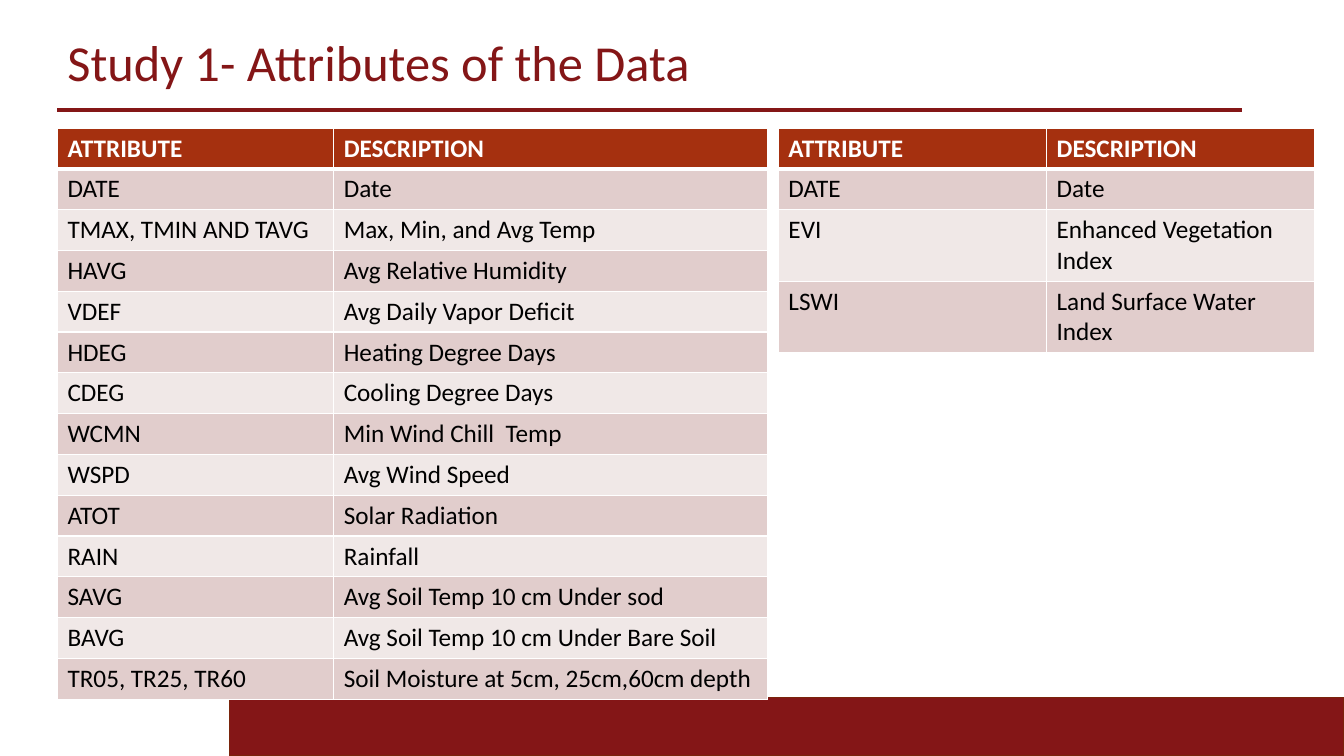
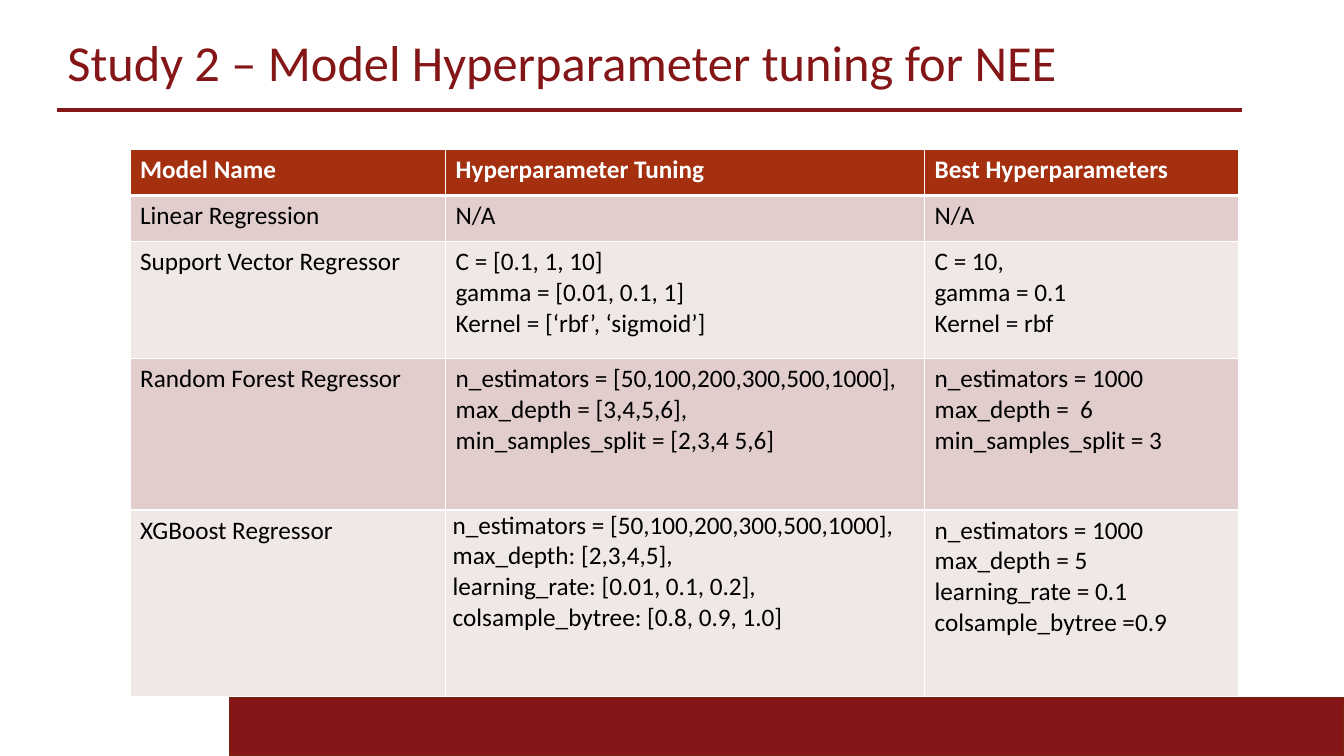
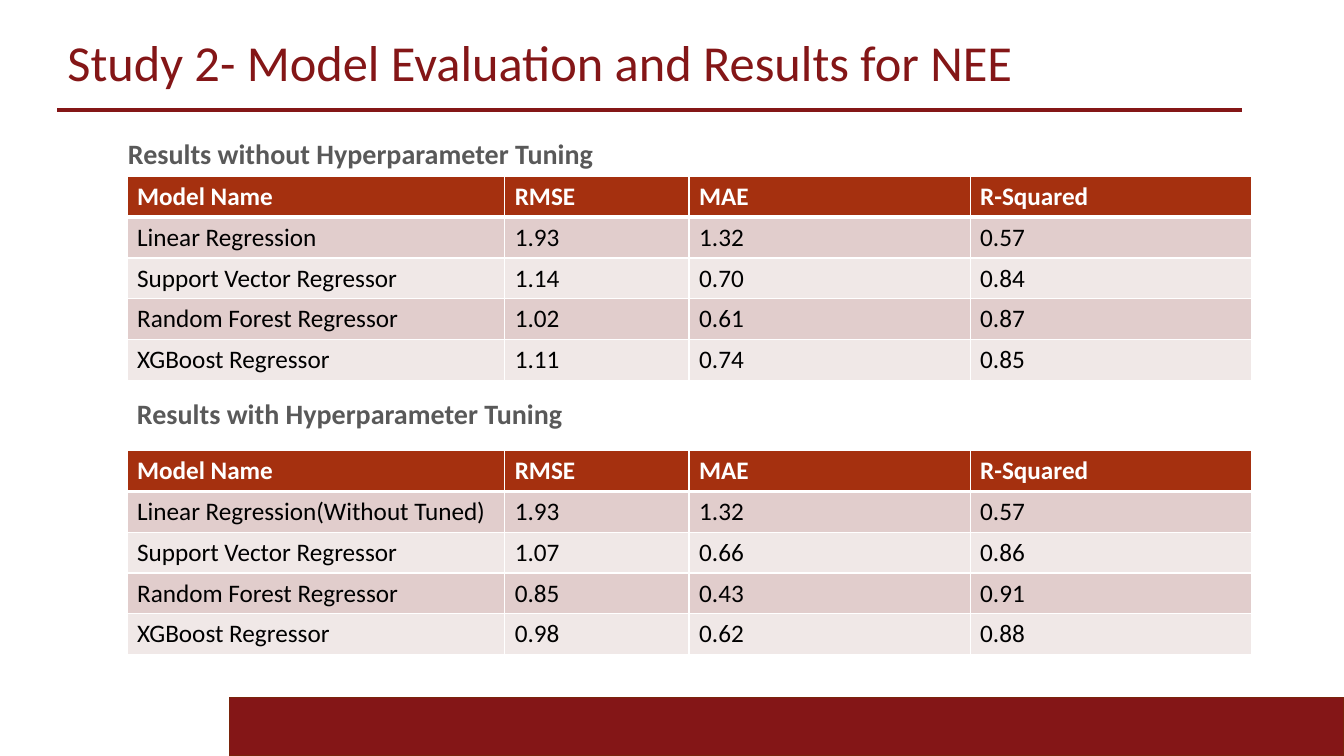
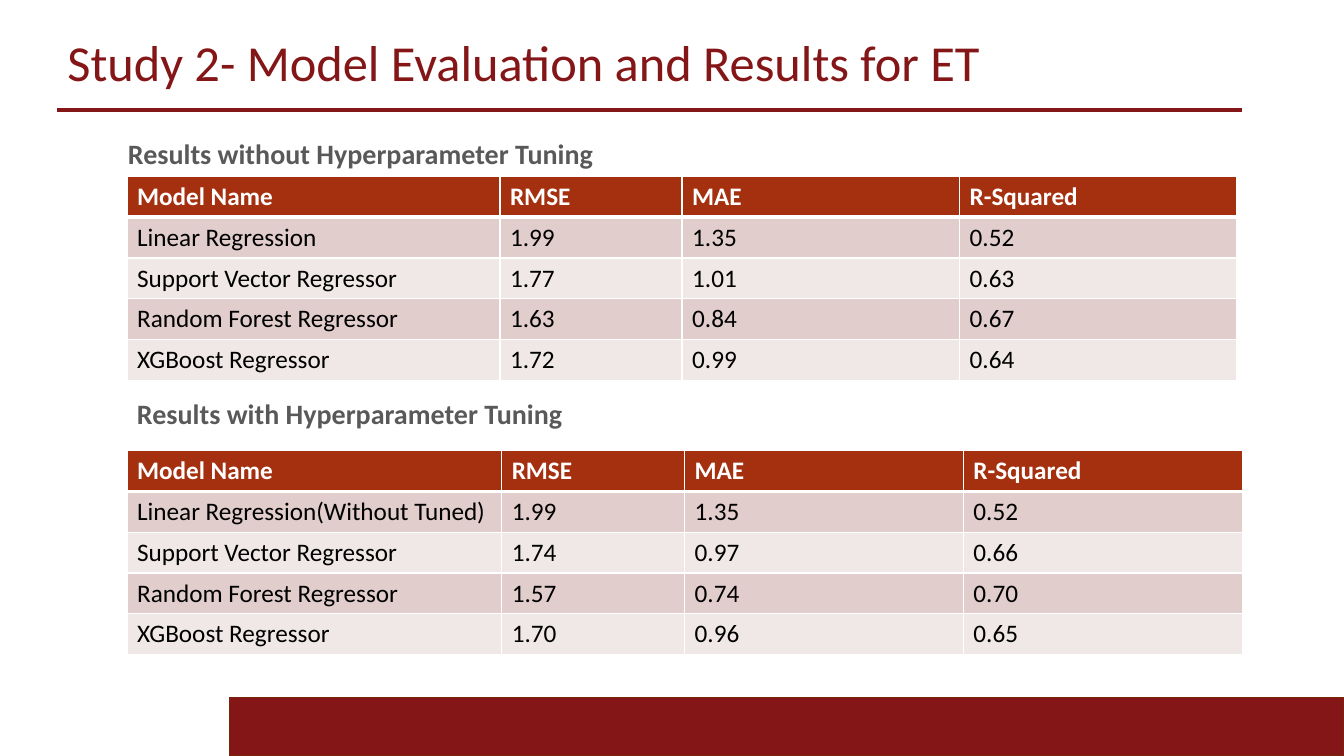
"""Build four slides of study attributes, tuning grids and model results."""
from lxml.etree import SubElement
from pptx import Presentation
from pptx.dml.color import RGBColor
from pptx.enum.shapes import MSO_CONNECTOR as Connector, MSO_SHAPE as Shape
from pptx.enum.text import MSO_ANCHOR as Anchor
from pptx.oxml.ns import qn
from pptx.util import Inches, Pt

WIDTH, HEIGHT = 13.33, 7.5
FONT = "Calibri"
CRIMSON, BAND_EDGE, GREY = "841617", "7A240B", "595959"
HEADER, BANDS = "A5300F", ("F0E8E7", "E1CDCC")
WHITE, BLACK = "FFFFFF", "000000"
LEFT, INDENT = 0.57, 1.26
ROW = 0.405
CELL_INSETS, TIGHT_INSETS = (0.1, 0.05), (0.07, 0)

WEATHER = [
    ("ATTRIBUTE", "DESCRIPTION"),
    ("DATE", "Date"),
    ("TMAX, TMIN AND TAVG", "Max, Min, and Avg Temp"),
    ("HAVG", "Avg Relative Humidity"),
    ("VDEF", "Avg Daily Vapor Deficit"),
    ("HDEG", "Heating Degree Days"),
    ("CDEG", "Cooling Degree Days"),
    ("WCMN", "Min Wind Chill  Temp"),
    ("WSPD", "Avg Wind Speed"),
    ("ATOT", "Solar Radiation"),
    ("RAIN", "Rainfall"),
    ("SAVG", "Avg Soil Temp 10 cm Under sod"),
    ("BAVG", "Avg Soil Temp 10 cm Under Bare Soil"),
    ("TR05, TR25, TR60", "Soil Moisture at 5cm, 25cm,60cm depth"),
]
VEGETATION = [
    ("ATTRIBUTE", "DESCRIPTION"),
    ("DATE", "Date"),
    ("EVI", "Enhanced Vegetation Index"),
    ("LSWI", "Land Surface Water Index"),
]
TUNING = [
    ("Model Name", "Hyperparameter Tuning", "Best Hyperparameters"),
    ("Linear Regression", "N/A", "N/A"),
    ("Support Vector Regressor",
     "C = [0.1, 1, 10]\ngamma = [0.01, 0.1, 1]\nKernel = [‘rbf’, ‘sigmoid’]",
     "C = 10,\ngamma = 0.1\nKernel = rbf"),
    ("Random Forest Regressor",
     "n_estimators = [50,100,200,300,500,1000],\nmax_depth = [3,4,5,6],\n"
     "min_samples_split = [2,3,4 5,6]",
     "n_estimators = 1000\nmax_depth =  6\nmin_samples_split = 3"),
    ("XGBoost Regressor",
     "n_estimators = [50,100,200,300,500,1000],\nmax_depth: [2,3,4,5],\n"
     "learning_rate: [0.01, 0.1, 0.2],\ncolsample_bytree: [0.8, 0.9, 1.0]",
     "n_estimators = 1000\nmax_depth = 5\nlearning_rate = 0.1\n"
     "colsample_bytree =0.9"),
]
TUNING_ROWS = [0.46, 0.46, 1.16, 1.5, 1.85]

METRICS = ("Model Name", "RMSE", "MAE", "R-Squared")
METRIC_SHARES = (0.336, 0.164, 0.25, 0.25)
MODELS = ("Linear Regression", "Support Vector Regressor",
          "Random Forest Regressor", "XGBoost Regressor")
TUNED_MODELS = ("Linear Regression(Without Tuned)",) + MODELS[1:]
SECTIONS = [
    ("Results without Hyperparameter Tuning", MODELS, 1.17, 1.34, 1.75),
    ("Results with Hyperparameter Tuning", TUNED_MODELS, INDENT, 3.92, 4.47),
]
RESULTS = [
    ("Study 2- Model Evaluation and Results for NEE", [
        (11.15, ["1.93 1.32 0.57", "1.14 0.70 0.84",
                 "1.02 0.61 0.87", "1.11 0.74 0.85"]),
        (11.15, ["1.93 1.32 0.57", "1.07 0.66 0.86",
                 "0.85 0.43 0.91", "0.98 0.62 0.88"]),
    ]),
    ("Study 2- Model Evaluation and Results for ET", [
        (11.01, ["1.99 1.35 0.52", "1.77 1.01 0.63",
                 "1.63 0.84 0.67", "1.72 0.99 0.64"]),
        (11.06, ["1.99 1.35 0.52", "1.74 0.97 0.66",
                 "1.57 0.74 0.70", "1.70 0.96 0.65"]),
    ]),
]


def color(value):
    return RGBColor.from_string(value)


def write(frame, text, size=18, ink=BLACK, bold=False, spacing=None):
    frame.word_wrap = True
    for index, line in enumerate(text.split("\n")):
        para = frame.add_paragraph() if index else frame.paragraphs[0]
        para.line_spacing = spacing
        span = para.add_run()
        span.text = line
        span.font.name, span.font.size, span.font.bold = FONT, Pt(size), bold
        span.font.color.rgb = color(ink)


def add_text(page, text, left, top, width, height, **style):
    box = page.shapes.add_textbox(*map(Inches, (left, top, width, height)))
    box.text_frame.vertical_anchor = Anchor.MIDDLE
    write(box.text_frame, text, spacing=0.9, **style)


def add_page(deck, title):
    page = deck.slides.add_slide(deck.slide_layouts[6])
    band = page.shapes.add_shape(
        Shape.RECTANGLE, *map(Inches, (2.28, 6.92, WIDTH - 2.28, HEIGHT - 6.92)))
    band.shadow.inherit = False
    band.fill.solid()
    band.fill.fore_color.rgb = color(CRIMSON)
    band.line.color.rgb = color(BAND_EDGE)
    band.line.width = Pt(0.85)
    rule = page.shapes.add_connector(
        Connector.STRAIGHT, *map(Inches, (LEFT, 1.09, 12.32, 1.09)))
    rule.line.color.rgb = color(CRIMSON)
    rule.line.width = Pt(2.5)
    SubElement(rule._element.spPr, qn("a:effectLst"))
    add_text(page, title, LEFT, 0.29, 11.71, 0.71, size=36, ink=CRIMSON)
    return page


def add_borders(cell, row):
    widths = {"L": 1, "R": 1, "T": 3 if row == 1 else 1, "B": 1 if row else 3}
    for side, width in widths.items():
        edge = SubElement(cell._tc.get_or_add_tcPr(), qn(f"a:ln{side}"),
                          w=str(Pt(width)))
        SubElement(SubElement(edge, qn("a:solidFill")), qn("a:srgbClr"), val=WHITE)


def add_grid(page, rows, left, top, columns, heights=None, tight=None):
    heights = heights or [ROW] * len(rows)
    table = page.shapes.add_table(
        len(rows), len(columns),
        *map(Inches, (left, top, sum(columns), sum(heights)))).table
    table.horz_banding = False
    for column, width in zip(table.columns, columns):
        column.width = Inches(width)
    for row, (texts, height) in enumerate(zip(rows, heights)):
        table.rows[row].height = Inches(height)
        for column, text in enumerate(texts):
            cell = table.cell(row, column)
            side, end = TIGHT_INSETS if (row, column) == tight else CELL_INSETS
            cell.margin_left = cell.margin_right = Inches(side)
            cell.margin_top = cell.margin_bottom = Inches(end)
            add_borders(cell, row)
            cell.fill.solid()
            cell.fill.fore_color.rgb = color(BANDS[row % 2] if row else HEADER)
            write(cell.text_frame, text, ink=BLACK if row else WHITE, bold=not row)


def add_results(deck, title, tables):
    page = add_page(deck, title)
    for (heading, models, left, top, grid_top), (width, scores) in zip(SECTIONS, tables):
        add_text(page, heading, left, top, 6.75, 0.4, size=20, ink=GREY, bold=True)
        rows = [METRICS] + [(model, *line.split()) for model, line in zip(models, scores)]
        add_grid(page, rows, INDENT, grid_top,
                 [width * share for share in METRIC_SHARES])


def main():
    deck = Presentation()
    deck.slide_width, deck.slide_height = Inches(WIDTH), Inches(HEIGHT)
    page = add_page(deck, "Study 1- Attributes of the Data")
    add_grid(page, VEGETATION, 7.72, 1.27, [2.66] * 2, [ROW, ROW, 0.71, 0.71])
    add_grid(page, WEATHER, LEFT, 1.27, [2.74, 4.3])
    page = add_page(deck, "Study 2 – Model Hyperparameter tuning for NEE")
    add_grid(page, TUNING, 1.29, 1.48, [3.13, 4.75, 3.11], TUNING_ROWS, tight=(4, 1))
    for title, tables in RESULTS:
        add_results(deck, title, tables)
    deck.save("out.pptx")


if __name__ == "__main__":
    main()
